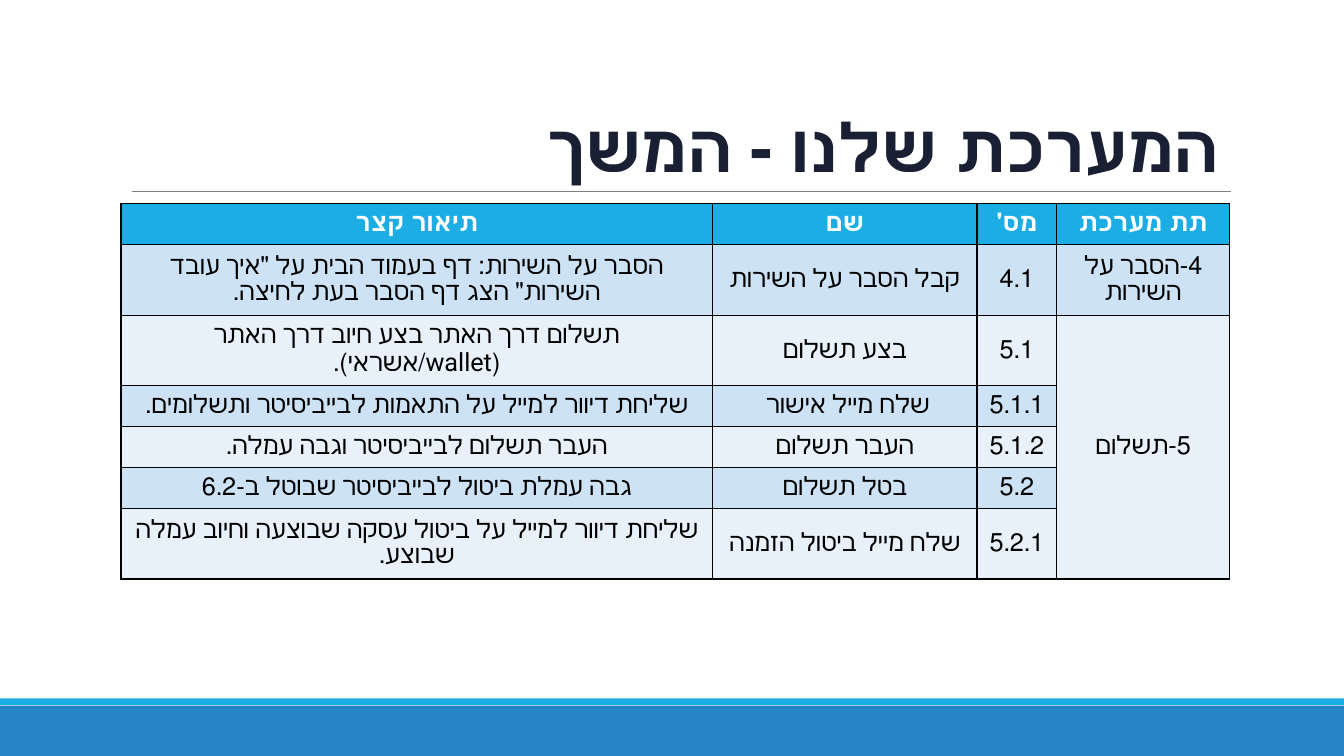
"""Build the payment subsystem slide with its Hebrew table."""
from lxml.etree import SubElement
from pptx import Presentation
from pptx.dml.color import RGBColor
from pptx.enum.shapes import MSO_CONNECTOR, MSO_SHAPE
from pptx.enum.text import MSO_ANCHOR, PP_ALIGN
from pptx.oxml import parse_xml
from pptx.oxml.ns import nsdecls, qn
from pptx.util import Pt


def tint(fill, color):
    fill.solid()
    fill.fore_color.rgb = RGBColor.from_string(color)


def write(frame, text, size=18, color="000000", bold=False, align=PP_ALIGN.CENTER, lead=None, track=None):
    para = frame.paragraphs[0]
    para.alignment = align
    para._p.get_or_add_pPr().set("rtl", "1")
    if lead:
        para.line_spacing = lead
    run = para.add_run()
    run.text = text
    font = run.font
    font.size, font.bold, font.name = Pt(size), bold, "Roboto"
    tint(font.fill, color)
    if track:
        run._r.get_or_add_rPr().set("spc", str(int(track * 100)))


deck = Presentation()
deck.slide_width, deck.slide_height = Pt(960), Pt(540)
slide = deck.slides.add_slide(deck.slide_layouts[6])
shapes = slide.shapes

for top, height, color in [(504, 36, "2683C6"), (498.8, 5, "1CADE4")]:
    bar = shapes.add_shape(MSO_SHAPE.RECTANGLE, 0, Pt(top), Pt(960), Pt(height))
    bar.shadow.inherit = False
    bar.line.fill.background()
    tint(bar.fill, color)

rule = shapes.add_connector(MSO_CONNECTOR.STRAIGHT, Pt(94.3), Pt(136.8), Pt(879), Pt(136.8))
rule.line.width = Pt(0.5)
tint(rule.line.fill, "808080")
SubElement(rule._element.spPr, qn("a:effectLst"))

title = shapes.add_textbox(Pt(86.4), Pt(22.3), Pt(792), Pt(114.5)).text_frame
title.word_wrap = True
title.vertical_anchor = MSO_ANCHOR.BOTTOM
write(title, "המערכת שלנו - המשך", size=48, color="1A2034", bold=True,
      align=PP_ALIGN.JUSTIFY, lead=0.85, track=-0.5)

rows = [
    ("תיאור קצר", "שם", "מס'", "תת מערכת"),
    ("הסבר על השירות: דף בעמוד הבית על \"איך עובד השירות\" הצג דף הסבר בעת לחיצה.",
     "קבל הסבר על השירות", "4.1", "4-הסבר על השירות"),
    ("תשלום דרך האתר בצע חיוב דרך האתר (wallet/אשראי).", "בצע תשלום", "5.1", "5-תשלום"),
    ("שליחת דיוור למייל על התאמות לבייביסיטר ותשלומים.", "שלח מייל אישור ", "5.1.1", ""),
    ("העבר תשלום לבייביסיטר וגבה עמלה.", "העבר תשלום", "5.1.2", ""),
    ("גבה עמלת ביטול לבייביסיטר שבוטל ב-6.2", "בטל תשלום", "5.2", ""),
    ("שליחת דיוור למייל על ביטול עסקה שבוצעה וחיוב עמלה שבוצע.",
     "שלח מייל ביטול הזמנה", "5.2.1", ""),
]
widths = [422.6, 188.9, 57, 123.4]
heights = [29.2, 43.2, 46, 29.2, 29.2, 29.2, 43.2]
grid = shapes.add_table(len(rows), len(widths), Pt(86.4), Pt(145.5), Pt(sum(widths)), Pt(sum(heights))).table
for col, width in zip(grid.columns, widths):
    col.width = Pt(width)
for row, height in zip(grid.rows, heights):
    row.height = Pt(height)
grid.cell(2, 3).merge(grid.cell(6, 3))

for r, texts in enumerate(rows):
    head = r == 0
    shade = "1CADE4" if head else ("E8F1FA", "CDE3F5")[r % 2]
    for c, text in enumerate(texts):
        cell = grid.cell(r, c)
        cell.vertical_anchor = MSO_ANCHOR.MIDDLE
        tint(cell.fill, shade)
        if text:
            write(cell.text_frame, text, color="FFFFFF" if head else "000000", bold=head)
        props = cell._tc.get_or_add_tcPr()
        for i, side in enumerate("LRTB"):
            props.insert(i, parse_xml(
                f'<a:ln{side} w="{Pt(1)}" {nsdecls("a")}><a:solidFill>'
                f'<a:srgbClr val="000000"/></a:solidFill></a:ln{side}>'))

deck.save("out.pptx")
